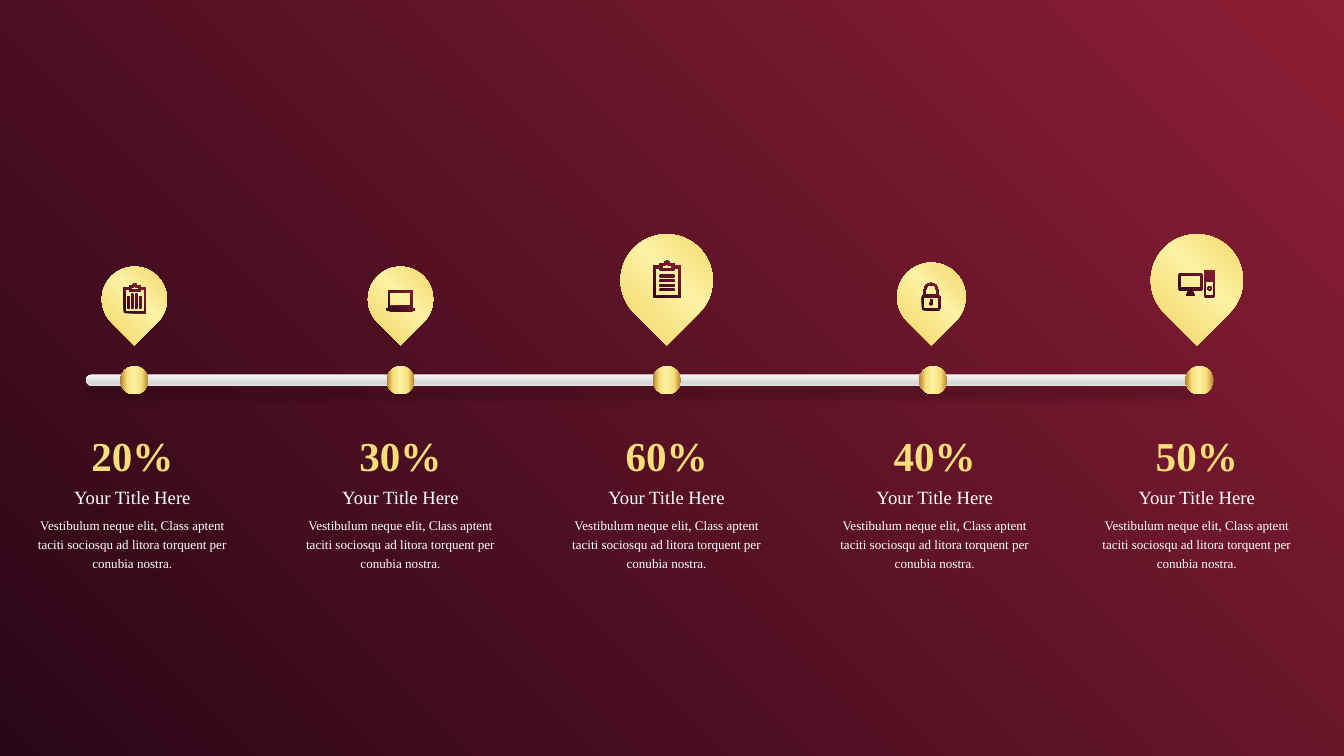
"""Build a five-step percentage timeline with gold pins on a burgundy background."""
from math import cos, pi, sin

from pptx import Presentation
from pptx.dml.color import RGBColor
from pptx.enum.shapes import MSO_SHAPE
from pptx.enum.text import MSO_AUTO_SIZE, PP_ALIGN
from pptx.oxml import parse_xml
from pptx.oxml.ns import nsdecls, qn
from pptx.util import Inches, Pt

TEARDROP, OVAL, ROUNDED = MSO_SHAPE.TEAR, MSO_SHAPE.OVAL, MSO_SHAPE.ROUNDED_RECTANGLE
CENTER, FIT_SHAPE = PP_ALIGN.CENTER, MSO_AUTO_SIZE.SHAPE_TO_FIT_TEXT
FONT = "Times New Roman"
WHITE = RGBColor(0xFF, 0xFF, 0xFF)
BLACK = RGBColor(0x00, 0x00, 0x00)
BRONZE = RGBColor(0xB3, 0x7E, 0x2A)
GOLD = RGBColor(0xF7, 0xDE, 0x7A)
CREAM = RGBColor(0xFC, 0xF2, 0xA5)
BURGUNDY = RGBColor(0x8C, 0x1E, 0x35)
PLUM = RGBColor(0x2A, 0x06, 0x17)
PALE = RGBColor(0xFA, 0xFA, 0xFA)
SILVER = RGBColor(0xD7, 0xD7, 0xD7)
MIST = RGBColor(0xE4, 0xE4, 0xE4)

LEFTWARD = '<a:lin ang="10800000" scaled="0"/>'
DOWNWARD = '<a:lin ang="5400000" scaled="0"/>'
FROM_TOP_RIGHT = '<a:path path="circle"><a:fillToRect l="100000" b="100000"/></a:path>'
GOLD_FOIL = ([(0, BRONZE), (24, GOLD), (53, CREAM), (77, GOLD), (100, BRONZE)], LEFTWARD)
WINE = ([(0, BURGUNDY), (100, PLUM)], FROM_TOP_RIGHT)
METAL = ([(0, PALE), (74, SILVER), (83, SILVER), (100, MIST)], DOWNWARD)


def paint(fill, element, gradient):
    stops, direction = gradient
    fill.gradient()
    plain = next(element.iter(qn("a:gradFill")))
    marks = "".join(
        f'<a:gs pos="{position * 1000}"><a:srgbClr val="{color}"/></a:gs>'
        for position, color in stops
    )
    plain.getparent().replace(plain, parse_xml(
        f'<a:gradFill {nsdecls("a")} rotWithShape="1">'
        f"<a:gsLst>{marks}</a:gsLst>{direction}</a:gradFill>"
    ))


def add_text(page, text, *, center, top, width, height, size,
             bold=None, spacing=None, wrap=True, gradient=None):
    box = page.shapes.add_textbox(
        Inches(center - width / 2), Inches(top), Inches(width), Inches(height))
    frame = box.text_frame
    frame.word_wrap = wrap
    frame.auto_size = FIT_SHAPE
    para = frame.paragraphs[0]
    para.alignment = CENTER
    para.line_spacing = spacing
    span = para.add_run()
    span.text = text
    span.font.name = FONT
    span.font.size = Pt(size)
    span.font.bold = bold
    if gradient:
        paint(span.font.fill, box.element, gradient)
    else:
        span.font.color.rgb = WHITE


BODY = ("Vestibulum neque elit, Class aptent taciti sociosqu ad litora "
        "torquent per conubia nostra.")
PIN_TIP = 5.14
DOT_SIZE = 0.42
MILESTONES = [
    ("20%", 1.97, 2.0, 0.97),
    ("30%", 5.96, 5.96, 0.97),
    ("60%", 9.92, 9.92, 1.37),
    ("40%", 13.91, 13.86, 1.02),
    ("50%", 17.81, 17.81, 1.37),
]

CLIPBOARD = [
    [(0, 55), (0, 7), (10, 7), (10, 4), (16, 4), (17, 1), (21, 0), (24, 1),
     (25, 4), (31, 4), (31, 7), (41, 7), (41, 55)],
    [(4, 52), (4, 11), (10, 11), (10, 14), (31, 14), (31, 11), (38, 11), (38, 52)],
    [(14, 11), (14, 7), (19, 7), (19, 6), (21, 4), (22, 6), (22, 7), (27, 7), (27, 11)],
]
CHART_BARS = [(7.5, 24, 11, 46, 0), (15, 19, 17.5, 46, 0),
              (22.5, 19, 25, 46, 0), (29, 24, 32.5, 46, 0)]
TEXT_LINES = [(10, top, 31, top + 3.5, 0) for top in (21, 28, 35, 41.5)]
LAPTOP = [
    (3, 0, 39, 25, 0), (5, 3, 36, 22, 0), (17, 27, 26, 28, 0),
    [(0, 26), (42, 26), (42, 29), (36, 30.5), (6, 30.5), (0, 29)],
]
PADLOCK = [
    [(3, 18), (3, 10), (4, 6), (6, 3), (9, 1), (13.5, 0), (18, 1), (21, 3),
     (23, 6), (24, 10), (24, 18)],
    [(6, 18), (6, 10), (8, 5), (13.5, 3), (19, 5), (21, 10), (21, 18)],
    (0, 18, 27, 41, 3), (2, 21, 25, 38, 1),
    (12, 24, 15, 29, 0), (11, 29, 16, 33, 2),
]
COMPUTER = [
    (0, 5, 35, 31, 3), (3, 8, 32, 26, 0), (16, 26, 20, 30, 2), (16, 27, 19, 30, 1.5),
    [(14, 31), (21, 31), (22, 35), (24, 36), (24, 38), (11, 38), (11, 36), (13, 35)],
    (38, 0, 54, 40, 1), (40, 3, 52, 38, 0), (43, 24, 49, 30, 3), (44, 25, 48, 29, 2),
    (41, 5, 51, 9, 0), (41, 10, 51, 11, 0), (41, 12, 51, 14, 0), (41, 15, 51, 17, 0),
]
ICONS = [
    (1.84, 4.22, 0.8, CLIPBOARD + CHART_BARS),
    (5.75, 4.33, 1, LAPTOP),
    (9.72, 3.88, 1, CLIPBOARD + TEXT_LINES),
    (13.72, 4.21, 1, PADLOCK),
    (17.54, 4.02, 1, COMPUTER),
]

deck = Presentation()
deck.slide_width = Inches(20)
deck.slide_height = Inches(11.25)
page = deck.slides.add_slide(deck.slide_layouts[6])
paint(page.background.fill, page.element, WINE)

bar = page.shapes.add_shape(ROUNDED, Inches(1.28), Inches(5.57), Inches(16.57), Inches(0.17))
bar.adjustments[0] = 0.5
painted = [(bar, METAL)]

for index, (percent, text_center, pin_center, pin_size) in enumerate(MILESTONES):
    add_text(page, percent, center=text_center, top=6.36, width=1.44, height=0.84,
             size=44, bold=True, wrap=False, gradient=GOLD_FOIL)
    add_text(page, "Your Title Here", center=text_center, top=7.12, width=2.67,
             height=0.47, size=20, spacing=1.2)
    add_text(page, BODY, center=text_center, top=7.61, width=3.12,
             height=0.95, size=14, spacing=1.2)
    dot = page.shapes.add_shape(
        OVAL, Inches(1.79 + 3.9625 * index), Inches(5.45), Inches(DOT_SIZE), Inches(DOT_SIZE))
    pin = page.shapes.add_shape(
        TEARDROP, Inches(pin_center - pin_size / 2),
        Inches(PIN_TIP - pin_size * (0.5 + 0.5 ** 0.5)), Inches(pin_size), Inches(pin_size))
    pin.rotation = 135
    painted += [(dot, GOLD_FOIL), (pin, GOLD_FOIL)]

for left, top, zoom, contours in ICONS:
    builder = None
    for contour in contours:
        points = contour
        if isinstance(contour, tuple):
            x1, y1, x2, y2, radius = contour
            corners = [(x2 - radius, y2 - radius), (x1 + radius, y2 - radius),
                       (x1 + radius, y1 + radius), (x2 - radius, y1 + radius)]
            points = [
                (x + radius * cos((quarter + step / 4) * pi / 2),
                 y + radius * sin((quarter + step / 4) * pi / 2))
                for quarter, (x, y) in enumerate(corners)
                for step in range(5 if radius else 1)
            ]
        points = [(x * 10 * zoom, y * 10 * zoom) for x, y in points]
        if builder is None:
            builder = page.shapes.build_freeform(*points[0], scale=Inches(1) / 1000)
        else:
            builder.move_to(*points[0])
        builder.add_line_segments(points[1:], close=True)
    painted.append((builder.convert_to_shape(Inches(left), Inches(top)), WINE))

for shape, gradient in painted:
    shape.shadow.inherit = False
    shape.line.fill.background()
    paint(shape.fill, shape.element, gradient)

next(bar.element.iter(qn("a:effectLst"))).append(parse_xml(
    f'<a:outerShdw {nsdecls("a")} blurRad="{Pt(4)}" dist="{Pt(14)}" dir="5400000">'
    f'<a:srgbClr val="{BLACK}"><a:alpha val="14000"/></a:srgbClr></a:outerShdw>'
))

deck.save("out.pptx")
